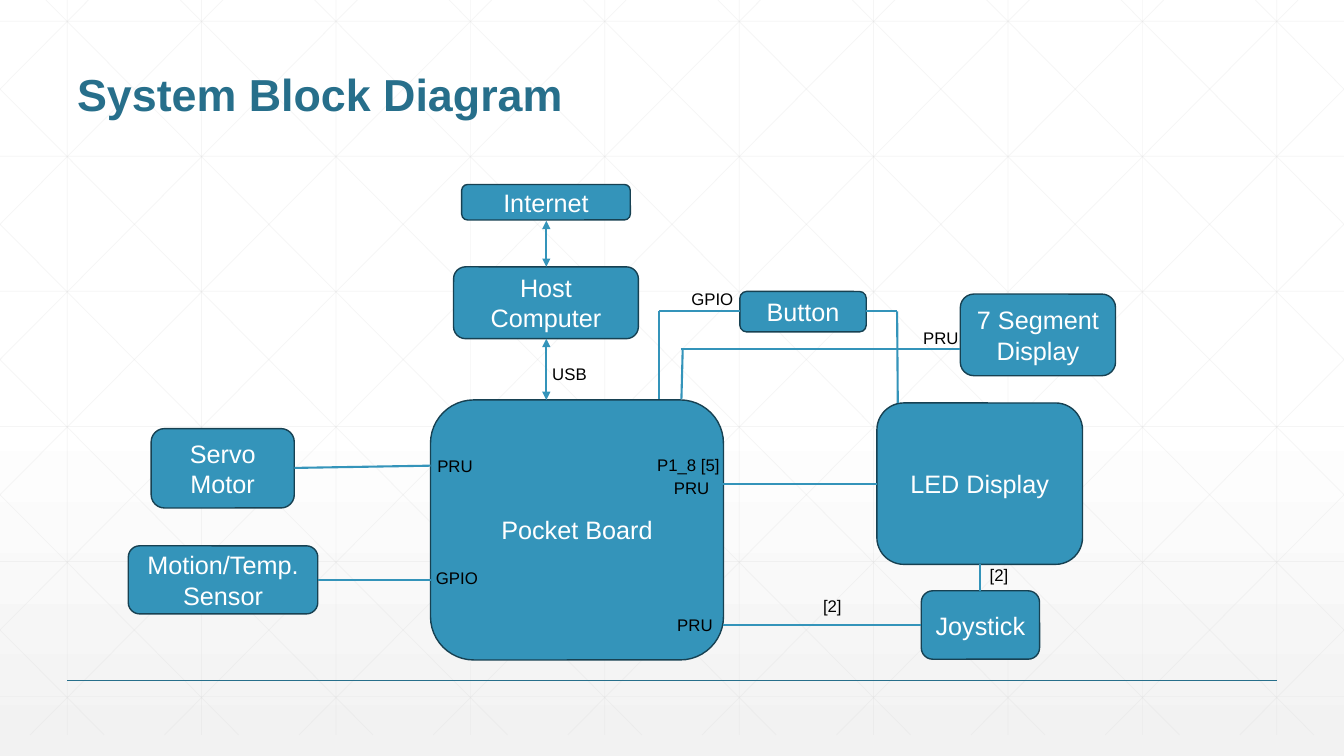
"""Build the system block diagram slide; all lengths are percent shares of the slide."""
from copy import deepcopy
from dataclasses import dataclass

from lxml import etree
from pptx import Presentation
from pptx.dml.color import RGBColor
from pptx.enum.shapes import MSO_CONNECTOR, MSO_SHAPE
from pptx.enum.text import MSO_ANCHOR, PP_ALIGN
from pptx.oxml.ns import qn
from pptx.util import Emu, Inches, Pt

STRAIGHT = MSO_CONNECTOR.STRAIGHT
ROUNDED = MSO_SHAPE.ROUNDED_RECTANGLE
LEFT, CENTER = PP_ALIGN.LEFT, PP_ALIGN.CENTER
TOP, MIDDLE, BOTTOM = MSO_ANCHOR.TOP, MSO_ANCHOR.MIDDLE, MSO_ANCHOR.BOTTOM
WIDTH, HEIGHT = Inches(13.33), Inches(7.5)


@dataclass(frozen=True)
class Theme:
    font: str = "Arial"
    accent: str = "3494BA"
    outline: str = "174152"
    heading: str = "276F8B"
    lattice: str = "D9D9D9"
    white: str = "FFFFFF"
    black: str = "000000"
    floor: str = "F2F2F2"
    title_size: float = 32
    block_size: float = 18
    label_size: float = 12
    wire_width: float = 1.5
    edge_width: float = 1
    lattice_width: float = 0.5
    lattice_alpha: int = 25


@dataclass(frozen=True)
class Block:
    text: str
    x: float
    y: float
    w: float
    h: float


@dataclass(frozen=True)
class Label:
    text: str
    x: float
    y: float
    w: float
    h: float = 4


@dataclass(frozen=True)
class Wire:
    x1: float
    y1: float
    x2: float
    y2: float
    arrows: bool = False


THEME = Theme()

BLOCKS = (
    Block("Pocket Board", 32.03, 52.9, 21.8, 34.4),
    Block("Host Computer", 33.75, 35.3, 13.75, 9.5),
    Block("Internet", 34.35, 24.4, 12.55, 4.7),
    Block("Servo Motor", 11.25, 56.7, 10.65, 10.5),
    Block("Motion/Temp. Sensor", 9.55, 72.2, 14.1, 9),
    Block("Button", 55.05, 38.55, 9.4, 5.35),
    Block("LED Display", 65.25, 53.3, 15.3, 21.35),
    Block("Joystick", 68.55, 78.15, 8.8, 9.05),
    Block("7 Segment Display", 71.45, 38.9, 11.55, 10.8),
)

WIRES = (
    Wire(40.65, 44.8, 40.65, 52.9, arrows=True),
    Wire(40.65, 29.2, 40.65, 35.3, arrows=True),
    Wire(53.35, 64, 65.25, 64),
    Wire(49.05, 41.2, 49.05, 52.8),
    Wire(49.05, 41.2, 55.05, 41.2),
    Wire(50.65, 46.15, 71.45, 46.15),
    Wire(50.8, 46.15, 50.7, 52.8),
    Wire(64.45, 41.2, 66.75, 41.2),
    Wire(66.75, 41.2, 66.8, 53.3),
    Wire(72.9, 74.65, 72.9, 78.15),
    Wire(21.9, 61.9, 32.05, 61.6),
    Wire(23.65, 76.7, 32.05, 76.7),
    Wire(53.8, 82.7, 68.55, 82.7),
)

LABELS = (
    Label("USB", 40.35, 47.5, 4.1),
    Label("[2]", 60.5, 78.15, 2.9),
    Label("[2]", 72.9, 74.1, 2.9),
    Label("P1_8 [5]", 48.15, 59.5, 6.2),
    Label("PRU", 49.4, 62.5, 4.2),
    Label("PRU", 49.65, 80.65, 4.2),
    Label("PRU", 31.8, 59.6, 4.2),
    Label("GPIO", 31.7, 74.5, 4.65),
    Label("PRU", 67.95, 42.7, 4.2),
    Label("GPIO", 50.7, 37.6, 4.65),
)


def across(share: float) -> Emu:
    return Emu(round(WIDTH * share / 100))


def down(share: float) -> Emu:
    return Emu(round(HEIGHT * share / 100))


def frame(item: Block | Label) -> tuple[Emu, Emu, Emu, Emu]:
    return across(item.x), down(item.y), across(item.w), down(item.h)


def write(shape, text: str, *, size: float, color: str, bold: bool = False,
          align=LEFT, anchor=TOP, wrap: bool = True, spacing: float = 1) -> None:
    body = shape.text_frame
    body.word_wrap = wrap
    body.vertical_anchor = anchor
    paragraph = body.paragraphs[0]
    paragraph.alignment = align
    paragraph.line_spacing = spacing
    run = paragraph.add_run()
    run.text = text
    run.font.name = THEME.font
    run.font.size = Pt(size)
    run.font.bold = bold
    run.font.color.rgb = RGBColor.from_string(color)


def draw_wire(slide, wire: Wire, color: str = THEME.accent,
              width: float = THEME.wire_width, alpha: int = 100) -> None:
    connector = slide.shapes.add_connector(
        STRAIGHT, across(wire.x1), down(wire.y1), across(wire.x2), down(wire.y2))
    connector.line.color.rgb = RGBColor.from_string(color)
    connector.line.width = Pt(width)
    properties = connector._element.spPr
    stroke = properties.find(qn("a:ln"))
    if alpha < 100:
        tint = stroke.find(".//" + qn("a:srgbClr"))
        etree.SubElement(tint, qn("a:alpha"), val=str(alpha * 1000))
    if wire.arrows:
        for end in ("a:headEnd", "a:tailEnd"):
            etree.SubElement(stroke, qn(end), type="triangle")
    etree.SubElement(properties, qn("a:effectLst"))


def draw_block(slide, block: Block) -> None:
    box = slide.shapes.add_shape(ROUNDED, *frame(block))
    box.shadow.inherit = False
    box.fill.solid()
    box.fill.fore_color.rgb = RGBColor.from_string(THEME.accent)
    box.line.color.rgb = RGBColor.from_string(THEME.outline)
    box.line.width = Pt(THEME.edge_width)
    write(box, block.text, size=THEME.block_size, color=THEME.white,
          align=CENTER, anchor=MIDDLE)


def draw_background(slide) -> None:
    fill = slide.background.fill
    fill.gradient()
    fill.gradient_angle = 270
    first = slide._element.find(".//" + qn("a:gs"))
    first.addnext(deepcopy(first))
    shades = ((0, THEME.white), (0.53, THEME.white), (1, THEME.floor))
    for stop, (position, shade) in zip(fill.gradient_stops, shades):
        stop.position = position
        stop.color.rgb = RGBColor.from_string(shade)


def lattice() -> list[Wire]:
    top, bottom, run = -2.8, 97.2, 55.9
    lines = [Wire(5 + 10 * i, 0, 5 + 10 * i, bottom) for i in range(10)]
    lines += [Wire(0, 2.8 + 17.87 * i, 100, 2.8 + 17.87 * i) for i in range(6)]
    for i in range(-5, 10):
        start = 1.85 + 10 * i
        enter = max(-top / 100, -start / run)
        leave = min(1, (100 - start) / run)
        x1, x2 = start + run * enter, start + run * leave
        y1, y2 = top + 100 * enter, top + 100 * leave
        lines += [Wire(x1, y1, x2, y2), Wire(100 - x1, y1, 100 - x2, y2)]
    return lines


def main() -> None:
    deck = Presentation()
    deck.slide_width, deck.slide_height = WIDTH, HEIGHT
    slide = deck.slides.add_slide(deck.slide_layouts[6])
    draw_background(slide)
    for line in lattice():
        draw_wire(slide, line, THEME.lattice, THEME.lattice_width, THEME.lattice_alpha)
    draw_wire(slide, Wire(5, 90, 95, 90), THEME.heading, THEME.edge_width)
    heading = Label("System Block Diagram", 5, 3.33, 90, 13.33)
    write(slide.shapes.add_textbox(*frame(heading)), heading.text, size=THEME.title_size,
          color=THEME.heading, bold=True, anchor=BOTTOM, spacing=0.9)
    for block in BLOCKS:
        draw_block(slide, block)
    for wire in WIRES:
        draw_wire(slide, wire)
    for label in LABELS:
        write(slide.shapes.add_textbox(*frame(label)), label.text,
              size=THEME.label_size, color=THEME.black, wrap=False)
    deck.save("out.pptx")


if __name__ == "__main__":
    main()
